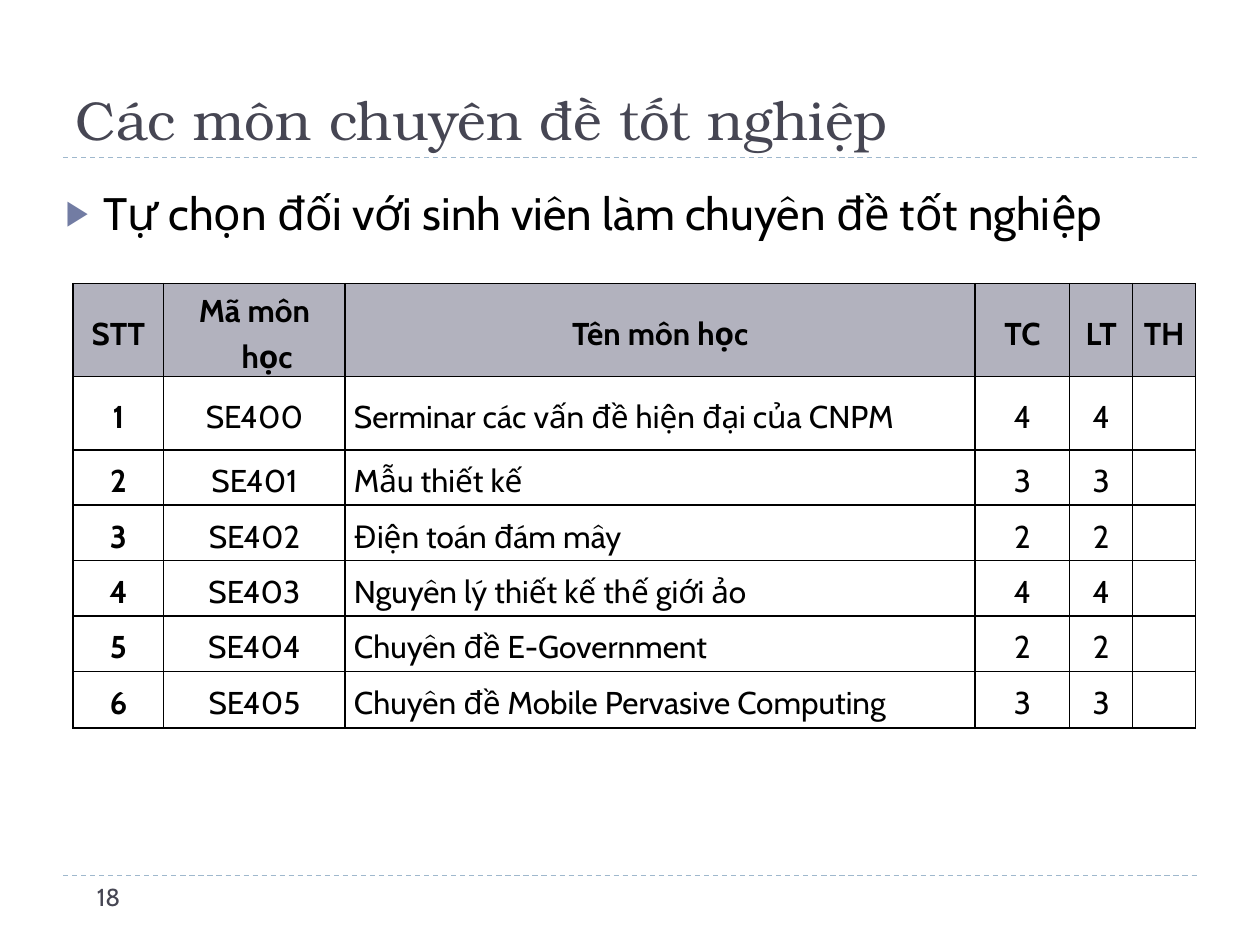
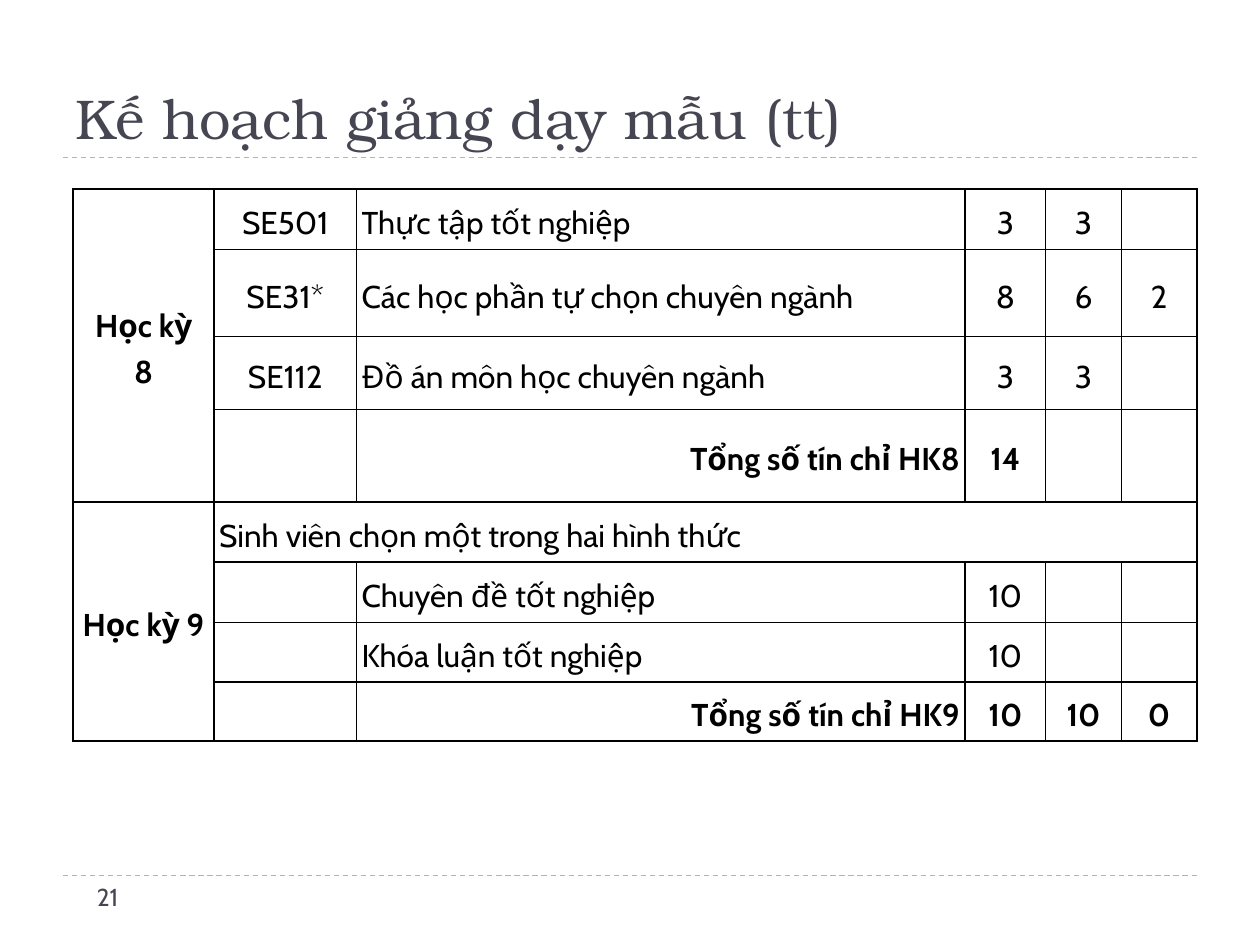
"""Build two curriculum slides: graduation topics and the sample teaching plan."""
from dataclasses import dataclass

from lxml import etree
from pptx import Presentation
from pptx import util as u
from pptx.dml.color import RGBColor
from pptx.enum import dml, shapes, text
from pptx.oxml.ns import qn


@dataclass(frozen=True)
class Theme:
    ink: str = "000000"
    heading: str = "464653"
    rule: str = "9FB8CD"
    bullet: str = "727CA3"
    header_fill: str = "B2B2BE"
    heading_font: str = "TeX Gyre Bonum"
    body_font: str = "Cabin"
    lead_size: float = 26
    cell_size: float = 18
    page_size: float = 14


THEME = Theme()
ALIGN = {"l": text.PP_ALIGN.LEFT, "c": text.PP_ALIGN.CENTER,
         "r": text.PP_ALIGN.RIGHT, "j": text.PP_ALIGN.JUSTIFY}
RULE_TOPS = (1.25, 6.95)

SLIDES = [
    {
        "title": "Các môn chuyên đề tốt nghiệp", "title_size": 31.2, "page": "18",
        "lead": "Tự chọn đối với sinh viên làm chuyên đề tốt nghiệp",
        "top": 2.25, "inset": 0.07, "hanging": {1: 0.2},
        "cols": [0.72, 1.44, 5, 0.75, 0.5, 0.5],
        "heights": [0.74, 0.58, 0.44, 0.44, 0.44, 0.44, 0.45],
        "header_rows": {0}, "total_rows": set(), "merges": [],
        "rows": [
            ("STT", "Mã môn học", "Tên môn học", "TC", "LT", "TH"),
            ("1", "SE400", "Serminar các vấn đề hiện đại của CNPM", "4", "4", ""),
            ("2", "SE401", "Mẫu thiết kế", "3", "3", ""),
            ("3", "SE402", "Điện toán đám mây", "2", "2", ""),
            ("4", "SE403", "Nguyên lý thiết kế thế giới ảo", "4", "4", ""),
            ("5", "SE404", "Chuyên đề E-Government", "2", "2", ""),
            ("6", "SE405", "Chuyên đề Mobile Pervasive Computing", "3", "3", ""),
        ],
    },
    {
        "title": "Kế hoạch giảng dạy mẫu (tt)", "title_size": 32, "page": "21",
        "lead": None,
        "top": 1.5, "inset": 0.04, "hanging": {},
        "cols": [1.12, 1.13, 4.83, 0.64, 0.6, 0.6],
        "heights": [0.48, 0.69, 0.58, 0.73, 0.48, 0.48, 0.47, 0.47],
        "header_rows": set(), "total_rows": {3, 7},
        "merges": [((0, 0), (3, 0)), ((4, 0), (7, 0)), ((4, 1), (4, 5))],
        "rows": [
            ("Học kỳ\n8", "SE501", "Thực tập tốt nghiệp", "3", "3", ""),
            ("", "SE31*", "Các học phần tự chọn chuyên ngành", "8", "6", "2"),
            ("", "SE112", "Đồ án môn học chuyên ngành", "3", "3", ""),
            ("", "", "Tổng số tín chỉ HK8", "14", "", ""),
            ("Học kỳ 9", "Sinh viên chọn một trong hai hình thức", "", "", "", ""),
            ("", "", "Chuyên đề tốt nghiệp", "10", "", ""),
            ("", "", "Khóa luận tốt nghiệp", "10", "", ""),
            ("", "", "Tổng số tín chỉ HK9", "10", "10", "0"),
        ],
    },
]


def write(frame, content, size, font=THEME.body_font, color=THEME.ink, bold=False,
          align="l", spacing=1.0, before=0, hanging=0, bullet=None):
    """Fill a text frame, one paragraph per line of content."""
    frame.word_wrap = True
    for number, line in enumerate(content.split("\n")):
        paragraph = frame.add_paragraph() if number else frame.paragraphs[0]
        paragraph.alignment = ALIGN[align]
        paragraph.line_spacing = spacing
        paragraph.space_before = u.Pt(before)
        properties = paragraph._p.get_or_add_pPr()
        if hanging:
            properties.set("marL", str(u.Inches(hanging)))
            properties.set("indent", str(-u.Inches(hanging)))
        if bullet:
            tint = etree.SubElement(properties, qn("a:buClr"))
            etree.SubElement(tint, qn("a:srgbClr"), val=THEME.bullet)
            etree.SubElement(properties, qn("a:buSzPct"), val="76000")
            etree.SubElement(properties, qn("a:buChar"), char=bullet)
        run = paragraph.add_run()
        run.text = line
        run.font.size = u.Pt(size)
        run.font.name = font
        run.font.bold = bold
        run.font.color.rgb = RGBColor.from_string(color)


def place(shape, left, top, width, height):
    """Move and size a shape, in inches."""
    shape.left, shape.top = u.Inches(left), u.Inches(top)
    shape.width, shape.height = u.Inches(width), u.Inches(height)


def add_rule(slide, top):
    """Draw one dashed rule across the slide."""
    rule = slide.shapes.add_connector(
        shapes.MSO_CONNECTOR.STRAIGHT,
        u.Inches(0.5), u.Inches(top), u.Inches(9.5), u.Inches(top))
    rule.line.color.rgb = RGBColor.from_string(THEME.rule)
    rule.line.width = u.Pt(0.75)
    rule.line.dash_style = dml.MSO_LINE.DASH
    etree.SubElement(rule._element.spPr, qn("a:effectLst"))


def add_borders(cell):
    """Give a cell four thin borders."""
    properties = cell._tc.get_or_add_tcPr()
    for side in "LRTB":
        border = etree.SubElement(properties, qn(f"a:ln{side}"), w=str(u.Pt(1)))
        fill = etree.SubElement(border, qn("a:solidFill"))
        etree.SubElement(fill, qn("a:srgbClr"), val=THEME.ink)


def cell_align(plan, row, col):
    """Choose the alignment of a cell from its role."""
    if row in plan["header_rows"]:
        return "c"
    if ((row, col), (row, 5)) in plan["merges"]:
        return "j"
    if col == 2:
        return "r" if row in plan["total_rows"] else "j"
    return "c"


def add_courses(slide, plan):
    """Add the course table."""
    rows, cols, heights = plan["rows"], plan["cols"], plan["heights"]
    courses = slide.shapes.add_table(
        len(rows), len(cols), u.Inches(0.58), u.Inches(plan["top"]),
        u.Inches(sum(cols)), u.Inches(sum(heights))).table
    courses.first_row = courses.horz_banding = False
    for column, width in zip(courses.columns, cols):
        column.width = u.Inches(width)
    for table_row, height in zip(courses.rows, heights):
        table_row.height = u.Inches(height)
    for start, end in plan["merges"]:
        courses.cell(*start).merge(courses.cell(*end))
    bold_rows = plan["header_rows"] | plan["total_rows"]
    for row, entries in enumerate(rows):
        for col, entry in enumerate(entries):
            cell = courses.cell(row, col)
            add_borders(cell)
            cell.vertical_anchor = text.MSO_ANCHOR.MIDDLE
            cell.margin_left = cell.margin_right = u.Inches(plan["inset"])
            cell.margin_top = cell.margin_bottom = 0
            if row in plan["header_rows"]:
                cell.fill.solid()
                cell.fill.fore_color.rgb = RGBColor.from_string(THEME.header_fill)
            else:
                cell.fill.background()
            if entry:
                write(cell.text_frame, entry, THEME.cell_size,
                      bold=col == 0 or row in bold_rows,
                      align=cell_align(plan, row, col), spacing=1.2,
                      hanging=plan["hanging"].get(col, 0))


def add_plan(deck, plan):
    """Add one slide with its title, lead, table and page number."""
    slide = deck.slides.add_slide(deck.slide_layouts[1 if plan["lead"] else 5])
    for top in RULE_TOPS:
        add_rule(slide, top)
    title = slide.shapes.title
    place(title, 0.5, 0.17, 9, 1.08)
    title.text_frame.auto_size = text.MSO_AUTO_SIZE.NONE
    title.text_frame.vertical_anchor = text.MSO_ANCHOR.BOTTOM
    write(title.text_frame, plan["title"], plan["title_size"],
          font=THEME.heading_font, color=THEME.heading)
    if plan["lead"]:
        lead = slide.placeholders[1]
        place(lead, 0.42, 1.42, 9, 1.17)
        lead.text_frame.auto_size = text.MSO_AUTO_SIZE.NONE
        write(lead.text_frame, plan["lead"], THEME.lead_size, hanging=0.3, bullet="▶")
    add_courses(slide, plan)
    page = slide.shapes.add_textbox(
        u.Inches(0.67), u.Inches(6.95), u.Inches(2.17), u.Inches(0.4))
    write(page.text_frame, plan["page"], THEME.page_size, color=THEME.heading)


def main():
    """Build and save the deck."""
    deck = Presentation()
    deck.slide_width, deck.slide_height = u.Inches(10), u.Inches(7.5)
    for plan in SLIDES:
        add_plan(deck, plan)
    deck.save("out.pptx")


if __name__ == "__main__":
    main()
